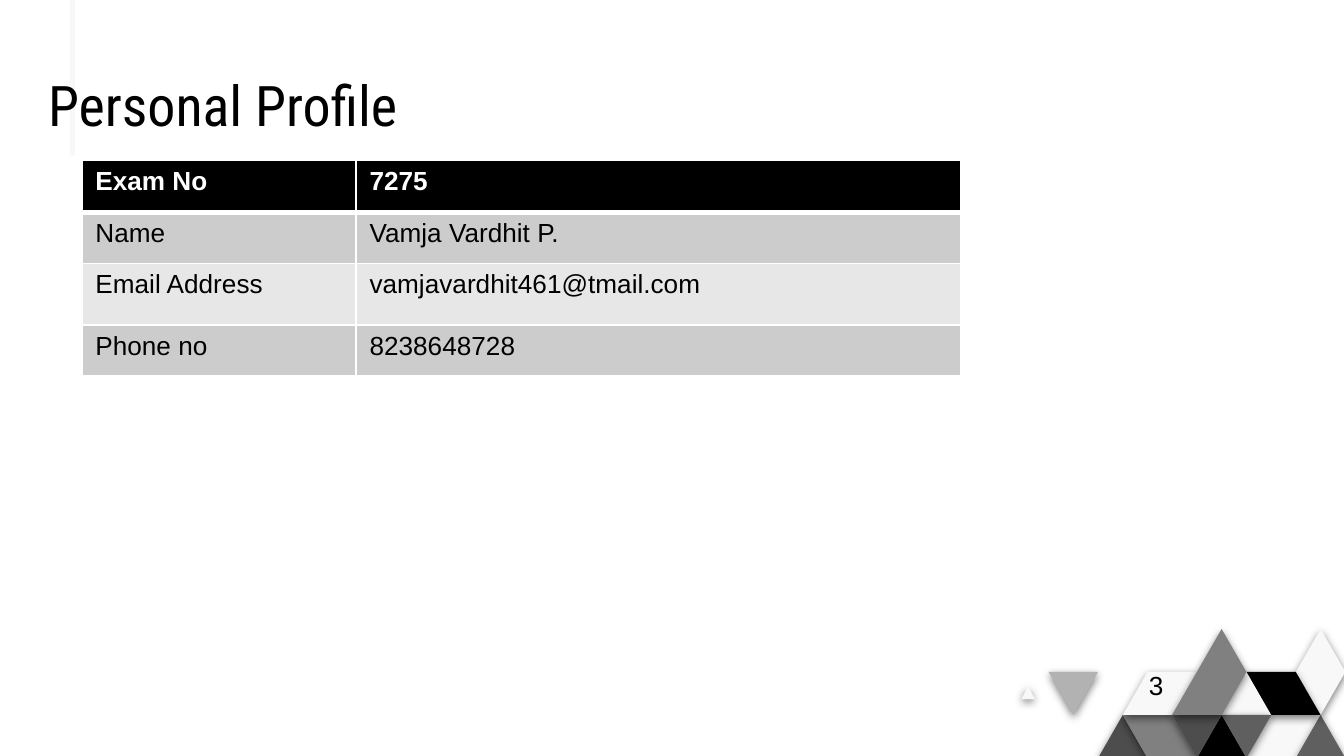
from lxml.etree import SubElement
from pptx import Presentation
from pptx.dml.color import RGBColor
from pptx.enum.shapes import MSO_CONNECTOR
from pptx.enum.text import MSO_ANCHOR
from pptx.oxml import parse_xml
from pptx.oxml.ns import nsdecls, qn
from pptx.util import Inches, Pt

BLACK = RGBColor(0x00, 0x00, 0x00)
WHITE = RGBColor(0xFF, 0xFF, 0xFF)
PALE = RGBColor(0xF8, 0xF8, 0xF8)
LIGHT = RGBColor(0xB2, 0xB2, 0xB2)
MID = RGBColor(0x80, 0x80, 0x80)
DIM = RGBColor(0x5F, 0x5F, 0x5F)
DARK = RGBColor(0x4D, 0x4D, 0x4D)
BAND = RGBColor(0xCC, 0xCC, 0xCC)
TINT = RGBColor(0xE7, 0xE7, 0xE7)

TITLE = "Personal Profile"
NUMBER = "3"
ROWS = [
    ("Exam No", "7275"),
    ("Name", "Vamja Vardhit P."),
    ("Email Address", "vamjavardhit461@tmail.com"),
    ("Phone no", "8238648728"),
]
COLS = [2.04, 4.5]
HEIGHTS = [0.39, 0.38, 0.46, 0.38]

# Mosaic tiles, back to front: colour and corners as (column, row) on the grid
LEFT, RIGHT, TOP, ROW = 8.17, 10.01, 4.68, 0.32
STEP = (RIGHT - LEFT) / 10
TILES = [
    (DARK, [(0, 3), (1, 2), (2, 3)]),
    (MID, [(1, 2), (3, 2), (4, 3), (2, 3)]),
    (PALE, [(6, 3), (7, 2), (9, 2), (8, 3)]),
    (DIM, [(8, 3), (9, 2), (10, 3)]),
    (BLACK, [(4, 3), (5, 2), (6, 3)]),
    (PALE, [(1, 2), (2, 1), (4, 1), (3, 2)]),
    (PALE, [(-3.1, 1.63), (-2.83, 1.34), (-2.55, 1.63)]),
    (LIGHT, [(-2, 1), (0, 1), (-1, 2)]),
    (PALE, [(8, 1), (9, 0), (10, 1), (9, 2)]),
    (BLACK, [(6, 1), (8, 1), (9, 2), (7, 2)]),
    (PALE, [(5, 2), (6, 1), (7, 2)]),
    (DIM, [(5, 2), (7, 2), (6, 3)]),
    (DARK, [(3, 2), (5, 2), (4, 3)]),
    (MID, [(3, 2), (5, 0), (6, 1), (5, 2)]),
]


def write(frame, text, size=14, font="Arial", color=BLACK, bold=False, space=None):
    para = frame.paragraphs[0]
    para.line_spacing = space
    run = para.add_run()
    run.text = text
    run.font.size = Pt(size)
    run.font.name = font
    run.font.bold = bold
    run.font.color.rgb = color


def add_box(slide, left, top, width, height):
    box = slide.shapes.add_textbox(*map(Inches, (left, top, width, height)))
    box.text_frame.word_wrap = True
    return box.text_frame


def add_tile(slide, color, spots):
    points = [(Inches(LEFT + col * STEP), Inches(TOP + row * ROW)) for col, row in spots]
    form = slide.shapes.build_freeform(*points[0])
    form.add_line_segments(points[1:], close=True)
    tile = form.convert_to_shape()
    tile.fill.solid()
    tile.fill.fore_color.rgb = color
    tile.line.fill.background()
    tile._element.spPr.append(parse_xml(
        f'<a:effectLst {nsdecls("a")}>'
        f'<a:outerShdw blurRad="{Pt(4.5)}" dist="{Pt(1.5)}" dir="5400000" rotWithShape="0">'
        '<a:srgbClr val="000000"><a:alpha val="50000"/></a:srgbClr>'
        '</a:outerShdw></a:effectLst>'))


def set_edges(cell, widths):
    """Draw white cell borders; widths run left, right, top, bottom."""
    props = cell._tc.get_or_add_tcPr()
    for i, (side, width) in enumerate(zip("LRTB", widths)):
        props.insert(i, parse_xml(
            f'<a:ln{side} {nsdecls("a")} w="{Pt(width)}"><a:solidFill>'
            f'<a:srgbClr val="{WHITE}"/></a:solidFill></a:ln{side}>'))


def add_rule(slide):
    rule = slide.shapes.add_connector(
        MSO_CONNECTOR.STRAIGHT, *map(Inches, (0.54, -0.07, 0.54, 1.16)))
    rule.line.color.rgb = PALE
    rule.line.width = Pt(2.25)
    SubElement(rule._element.spPr, qn("a:effectLst"))


def add_profile(slide):
    size = map(Inches, (0.61, 1.19, sum(COLS), sum(HEIGHTS)))
    table = slide.shapes.add_table(len(ROWS), len(COLS), *size).table
    for col, width in zip(table.columns, COLS):
        col.width = Inches(width)
    for r, (texts, height) in enumerate(zip(ROWS, HEIGHTS)):
        table.rows[r].height = Inches(height)
        head = r == 0
        fill = BLACK if head else BAND if r % 2 else TINT
        for c, text in enumerate(texts):
            cell = table.cell(r, c)
            cell.fill.solid()
            cell.fill.fore_color.rgb = fill
            set_edges(cell, (1, 1, 3 if r == 1 else 1, 3 if head else 1))
            write(cell.text_frame, text, color=WHITE if head else BLACK, bold=head)


def main():
    deck = Presentation()
    deck.slide_width = Inches(10)
    deck.slide_height = deck.slide_width * 9 // 16
    slide = deck.slides.add_slide(deck.slide_layouts[6])
    add_rule(slide)
    for color, spots in TILES:
        add_tile(slide, color, spots)
    add_profile(slide)
    write(add_box(slide, 8.45, 4.93, 0.53, 0.34), NUMBER)
    title = add_box(slide, 0.26, 0.49, 3.86, 0.63)
    title.vertical_anchor = MSO_ANCHOR.BOTTOM
    title.margin_top = title.margin_bottom = Inches(0.1)
    write(title, TITLE, size=30, font="Roboto Condensed", space=0.8)
    deck.save("out.pptx")


if __name__ == "__main__":
    main()
